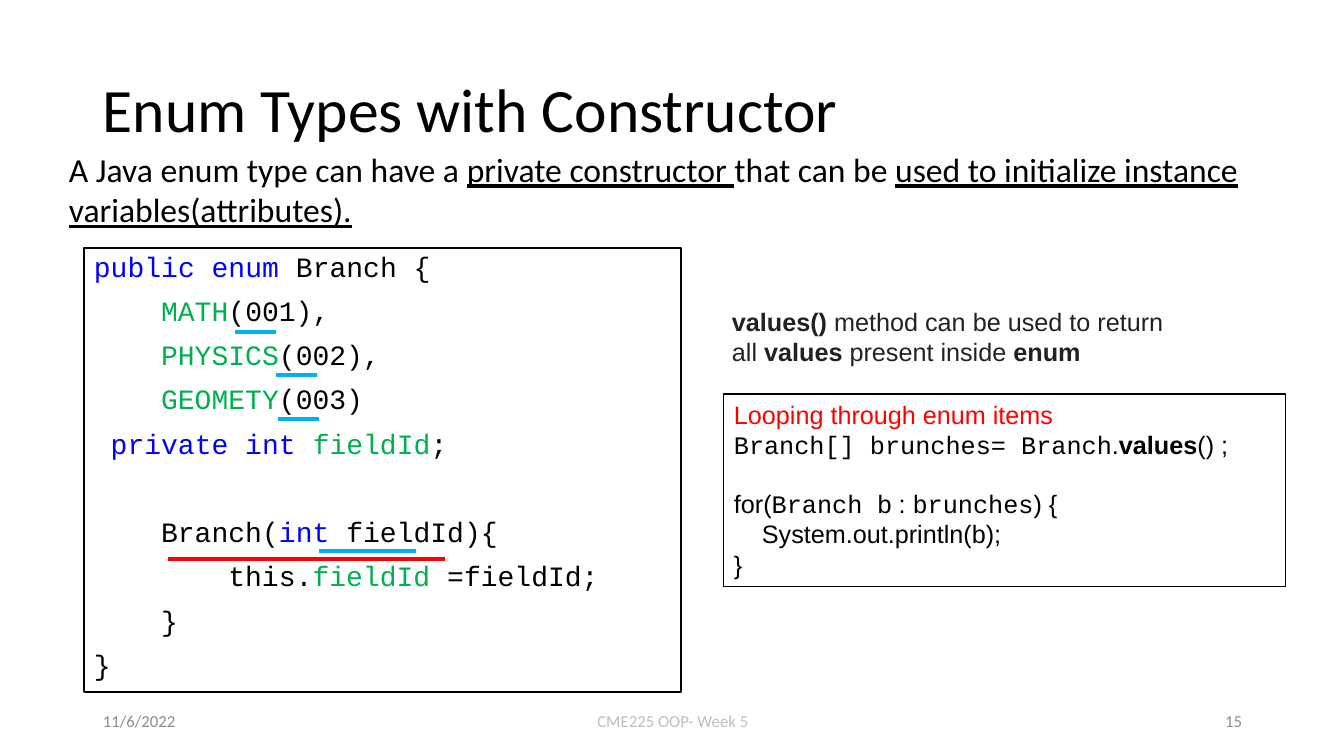
from dataclasses import dataclass
from lxml import etree
from pptx import Presentation
from pptx.dml.color import RGBColor
from pptx.enum import shapes, text
from pptx.oxml import ns
from pptx.util import Pt

SCALE = 914400 / 100.8


@dataclass(frozen=True)
class Theme:
    black: str = "000000"
    white: str = "FFFFFF"
    blue: str = "0000FF"
    green: str = "00B050"
    red: str = "FF0000"
    cyan: str = "00B0F0"
    dark: str = "222222"
    gray: str = "8C8C8C"
    pale: str = "BFBFBF"
    body: str = "Calibri"
    sans: str = "Arial"
    mono: str = "Courier New"
    title: int = 44
    lead: int = 24
    code: int = 20
    note: int = 18
    foot: int = 12


def px(n):
    return round(n * SCALE)


class Deck:
    def __init__(self, theme):
        self.theme = theme
        self.file = Presentation()
        self.file.slide_width = px(1344)
        self.file.slide_height = px(756)
        self.slide = self.file.slides.add_slide(self.file.slide_layouts[6])

    def label(self, area, paras, **style):
        self.fill(self.slide.shapes.add_textbox(*map(px, area)), paras, **style)

    def panel(self, area, paras, edge=None, **style):
        rect = self.slide.shapes.add_shape(shapes.MSO_SHAPE.RECTANGLE, *map(px, area))
        rect.shadow.inherit = False
        rect.fill.solid()
        rect.fill.fore_color.rgb = RGBColor.from_string(self.theme.white)
        if edge:
            rect.line.color.rgb = RGBColor.from_string(self.theme.black)
            rect.line.width = Pt(edge)
        else:
            rect.line.fill.background()
        self.fill(rect, paras, **style)

    def fill(self, shape, paras, size, font, color=None, mid=False,
             align=text.PP_ALIGN.LEFT, pitch=None, gap=0):
        frame = shape.text_frame
        frame.word_wrap = True
        frame.vertical_anchor = text.MSO_ANCHOR.MIDDLE if mid else text.MSO_ANCHOR.TOP
        for i, (dent, skip, runs) in enumerate(paras):
            para = frame.paragraphs[0] if i == 0 else frame.add_paragraph()
            para.alignment = align
            para.line_spacing = pitch
            para.space_before = Pt(gap + skip)
            para._p.get_or_add_pPr().set("marL", str(px(dent)))
            for words, look in runs:
                self.run(para, words, **{"size": size, "font": font, "color": color, **look})

    def run(self, para, words, size, font, color, bold=False, under=False):
        run = para.add_run()
        run.text = words
        run.font.size = Pt(size)
        run.font.name = font
        run.font.bold = bold
        run.font.underline = under
        run.font.color.rgb = RGBColor.from_string(color or self.theme.black)

    def rule(self, left, top, width, color):
        line = self.slide.shapes.add_connector(
            shapes.MSO_CONNECTOR.STRAIGHT, *map(px, (left, top, left + width, top)))
        line.line.color.rgb = RGBColor.from_string(color)
        line.line.width = Pt(3)
        etree.SubElement(line._element.spPr, ns.qn("a:effectLst"))


t = Theme()
deck = Deck(t)
blue, green, red = ({"color": c} for c in (t.blue, t.green, t.red))
mono, bold, under = {"font": t.mono}, {"bold": True}, {"under": True}

deck.label((93, 40, 1159, 146), [(0, 0, [("Enum Types with Constructor", {})])],
           size=t.title, font=t.body, mid=True, pitch=0.9)

char = 16.8
items = [("MATH", "(001),"), ("PHYSICS", "(002),"), ("GEOMETY", "(003)")]
code = [
    (0, 0, [("public enum", blue), (" Branch {", {})]),
    *[(4 * char, 0, [(name, green), (tail, {})]) for name, tail in items],
    (char, 0, [("private int ", blue), ("fieldId", green), (";", {})]),
    (4 * char, 31.7, [("Branch(", {}), ("int", blue), (" fieldId){", {})]),
    (8 * char, 0, [("this.", {}), ("fieldId", green), (" =fieldId;", {})]),
    (4 * char, 0, [("}", {})]),
    (0, 0, [("}", {})]),
]
deck.panel((84, 248, 597, 444), code, edge=1.5, size=t.code, font=t.mono,
           pitch=0.9, gap=10)

lead = [("A Java enum type can have a ", {}), ("private constructor ", under),
        ("that can be ", {}),
        ("used to initialize instance variables(attributes).", under)]
deck.panel((59, 144, 1244, 92), [(0, 0, lead)], size=t.lead, font=t.body)

deck.rule(168, 559, 277, t.red)
deck.rule(319, 551, 97, t.cyan)
for left, top in [(235, 332), (276, 375), (278, 419)]:
    deck.rule(left, top, 41, t.cyan)

loop = [
    (0, 0, [("Looping through enum items", red)]),
    (0, 0, [("Branch[] brunches= Branch", mono), (".", {}), ("values", bold), ("() ;", {})]),
    (0, 20.7, [("for(", {}), ("Branch ", mono), ("b : ", {}), ("brunches", mono), (") {", {})]),
    (28, 0, [("System.out.println(b);", {})]),
    (0, 0, [("}", {})]),
]
deck.panel((724, 394, 562, 193), loop, edge=0.75, size=t.note, font=t.sans)

note = [("values()", bold), ("\u00a0method can be used to return all\u00a0", {}),
        ("values", bold), ("\u00a0present inside\u00a0", {}), ("enum", bold)]
deck.label((722, 301, 597, 72), [(0, 0, note)], size=t.note, font=t.sans, color=t.dark)

for left, width, words, align, color in [
    (93, 302, "11/6/2022", text.PP_ALIGN.LEFT, t.gray),
    (446, 454, "CME225 OOP- Week 5", text.PP_ALIGN.CENTER, t.pale),
    (950, 302, "15", text.PP_ALIGN.RIGHT, t.gray),
]:
    deck.label((left, 701, width, 40), [(0, 0, [(words, {})])], size=t.foot,
               font=t.body, color=color, mid=True, align=align)

deck.file.save("out.pptx")
